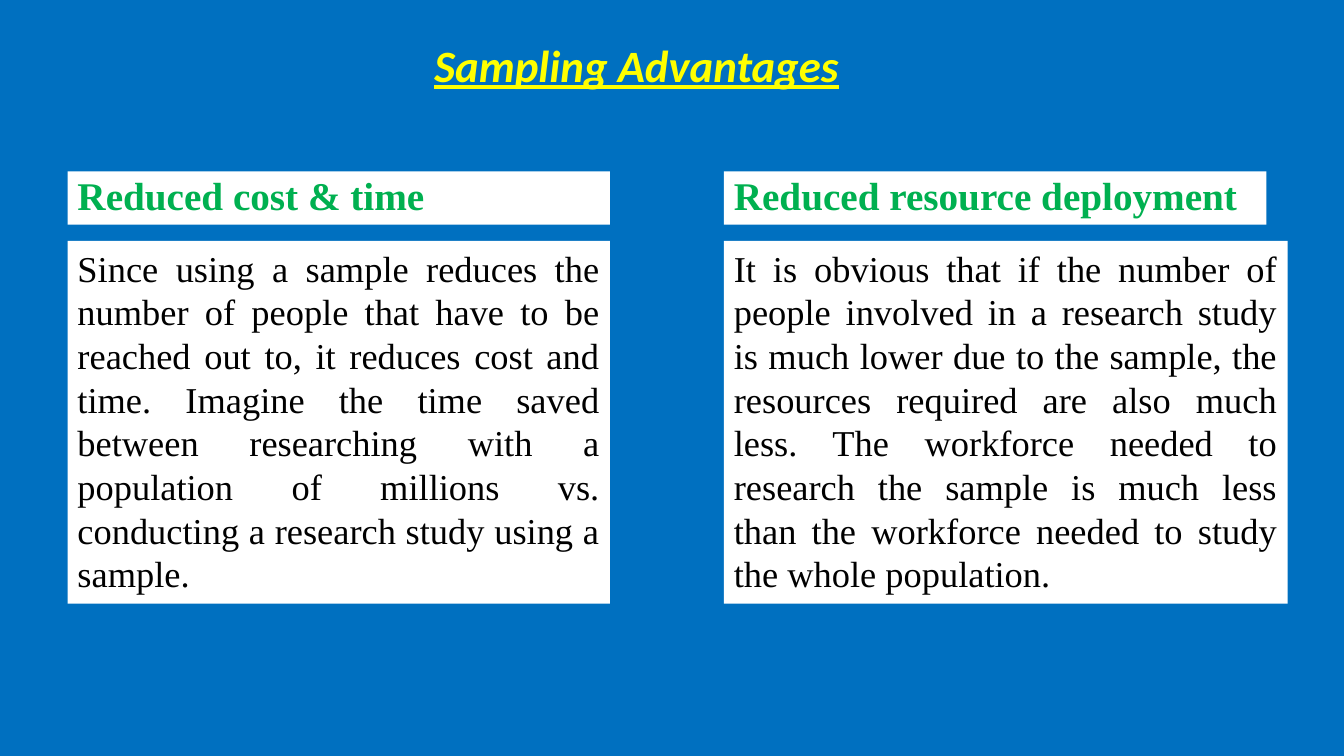
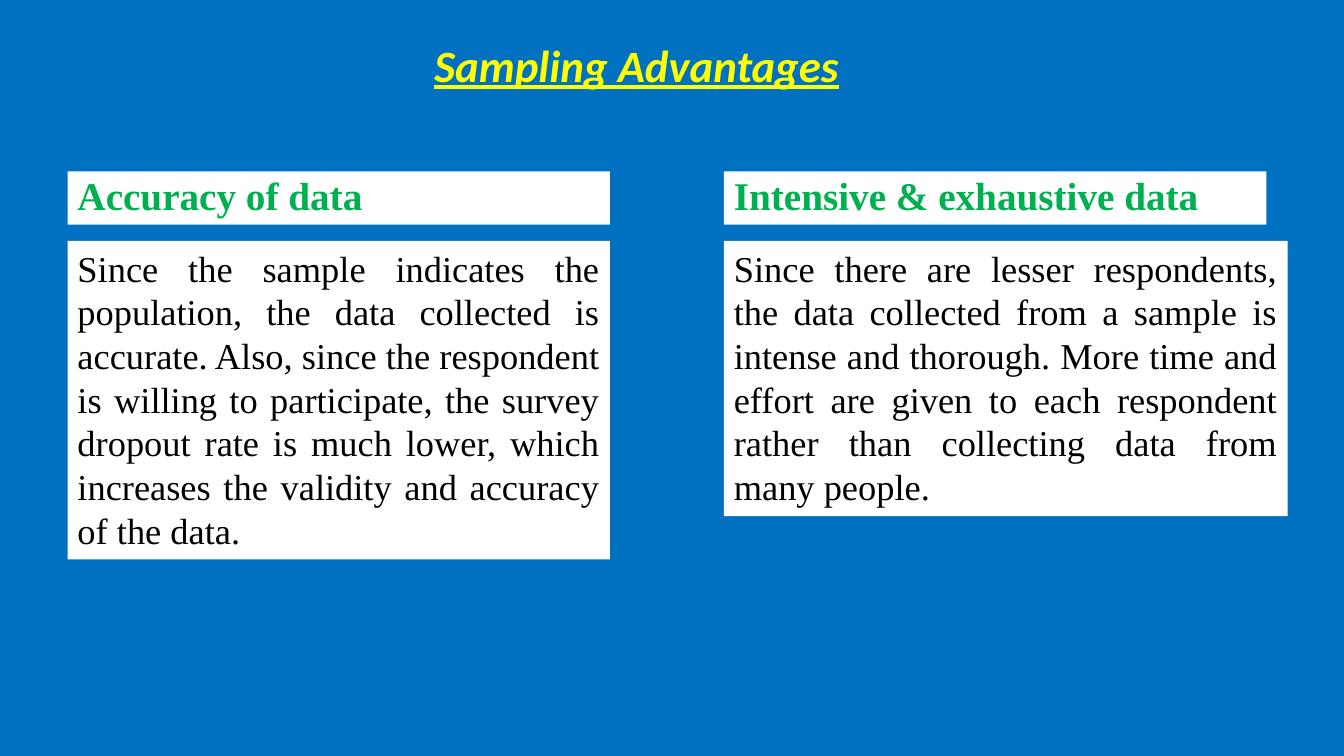
"""Build two slides on the advantages of sampling."""
from dataclasses import dataclass, field

from pptx import Presentation
from pptx.dml.color import RGBColor
from pptx.enum import shapes, text
from pptx.util import Inches, Pt


@dataclass(frozen=True)
class Theme:
    """Colours, type formats and paragraph formats shared by the slides."""
    background: RGBColor = RGBColor(0x00, 0x70, 0xC0)
    panel: RGBColor = RGBColor(0xFF, 0xFF, 0xFF)
    title: dict = field(default_factory=lambda: {
        "name": "Calibri", "size": Pt(32), "bold": True, "italic": True,
        "underline": True, "color": RGBColor(0xFF, 0xFF, 0x00)})
    heading: dict = field(default_factory=lambda: {
        "name": "Times New Roman", "size": Pt(28), "bold": True,
        "color": RGBColor(0x00, 0xB0, 0x50)})
    body: dict = field(default_factory=lambda: {
        "name": "Times New Roman", "size": Pt(26),
        "color": RGBColor(0x00, 0x00, 0x00)})
    title_paragraph: dict = field(default_factory=lambda: {
        "alignment": text.PP_ALIGN.CENTER, "line_spacing": 0.9})
    heading_paragraph: dict = field(default_factory=lambda: {
        "alignment": text.PP_ALIGN.LEFT, "line_spacing": 0.9})
    body_paragraph: dict = field(default_factory=lambda: {
        "alignment": text.PP_ALIGN.JUSTIFY})


THEME = Theme()
TITLE = "Sampling Advantages"
TITLE_BOX = (3.36, 0.38, 5.91, 0.59)
COLUMN_TOP = 1.7
COLUMN_LEFTS = (0.67, 7.18)
BODY_WIDTHS = (5.38, 5.59)
HEADING_WIDTH, HEADING_HEIGHT = 5.38, 0.53
BODY_OFFSET = 0.69

SLIDES = [
    [
        ("Reduced cost & time", 3.6,
         "Since using a sample reduces the number of people that have to be "
         "reached out to, it reduces cost and time. Imagine the time saved "
         "between researching with a population of millions vs. conducting a "
         "research study using a sample."),
        ("Reduced resource deployment", 3.6,
         "It is obvious that if the number of people involved in a research "
         "study is much lower due to the sample, the resources required are "
         "also much less. The workforce needed to research the sample is much "
         "less than the workforce needed to study the whole population."),
    ],
    [
        ("Accuracy of data", 3.16,
         "Since the sample indicates the population, the data collected is "
         "accurate. Also, since the respondent is willing to participate, the "
         "survey dropout rate is much lower, which increases the validity and "
         "accuracy of the data."),
        ("Intensive & exhaustive data", 2.73,
         "Since there are lesser respondents, the data collected from a sample "
         "is intense and thorough. More time and effort are given to each "
         "respondent rather than collecting data from many people."),
    ],
]


def write(frame, wording, font_format, paragraph_format, anchor):
    """Fill a text frame with one formatted paragraph."""
    frame.word_wrap = True
    frame.auto_size = text.MSO_AUTO_SIZE.SHAPE_TO_FIT_TEXT
    frame.vertical_anchor = anchor
    paragraph = frame.paragraphs[0]
    for name, value in paragraph_format.items():
        setattr(paragraph, name, value)
    run = paragraph.add_run()
    run.text = wording
    for name, value in font_format.items():
        if name == "color":
            run.font.color.rgb = value
        else:
            setattr(run.font, name, value)


def add_panel(slide, box):
    """Add a plain filled panel and return its text frame."""
    panel = slide.shapes.add_shape(
        shapes.MSO_SHAPE.RECTANGLE, *map(Inches, box))
    panel.shadow.inherit = False
    panel.fill.solid()
    panel.fill.fore_color.rgb = THEME.panel
    panel.line.fill.background()
    return panel.text_frame


def add_title(slide, box):
    """Place the slide title in its box."""
    heading = slide.shapes.add_textbox(*map(Inches, box))
    write(heading.text_frame, TITLE, THEME.title, THEME.title_paragraph,
          text.MSO_ANCHOR.MIDDLE)


def add_advantage(slide, left, top, body_width, advantage):
    """Place one advantage: a heading panel above an explanation panel."""
    heading, body_height, explanation = advantage
    write(add_panel(slide, (left, top, HEADING_WIDTH, HEADING_HEIGHT)),
          heading, THEME.heading, THEME.heading_paragraph,
          text.MSO_ANCHOR.MIDDLE)
    write(add_panel(slide, (left, top + BODY_OFFSET, body_width, body_height)),
          explanation, THEME.body, THEME.body_paragraph, text.MSO_ANCHOR.TOP)


def add_advantages_slide(deck, advantages):
    """Add a slide with the title and two advantages side by side."""
    slide = deck.slides.add_slide(deck.slide_layouts[6])
    add_title(slide, TITLE_BOX)
    for left, width, advantage in zip(COLUMN_LEFTS, BODY_WIDTHS, advantages):
        add_advantage(slide, left, COLUMN_TOP, width, advantage)


def main():
    """Build and save the deck."""
    deck = Presentation()
    deck.slide_width, deck.slide_height = Inches(13.33), Inches(7.5)
    backdrop = deck.slide_master.background.fill
    backdrop.solid()
    backdrop.fore_color.rgb = THEME.background
    for advantages in SLIDES:
        add_advantages_slide(deck, advantages)
    deck.save("out.pptx")


if __name__ == "__main__":
    main()
